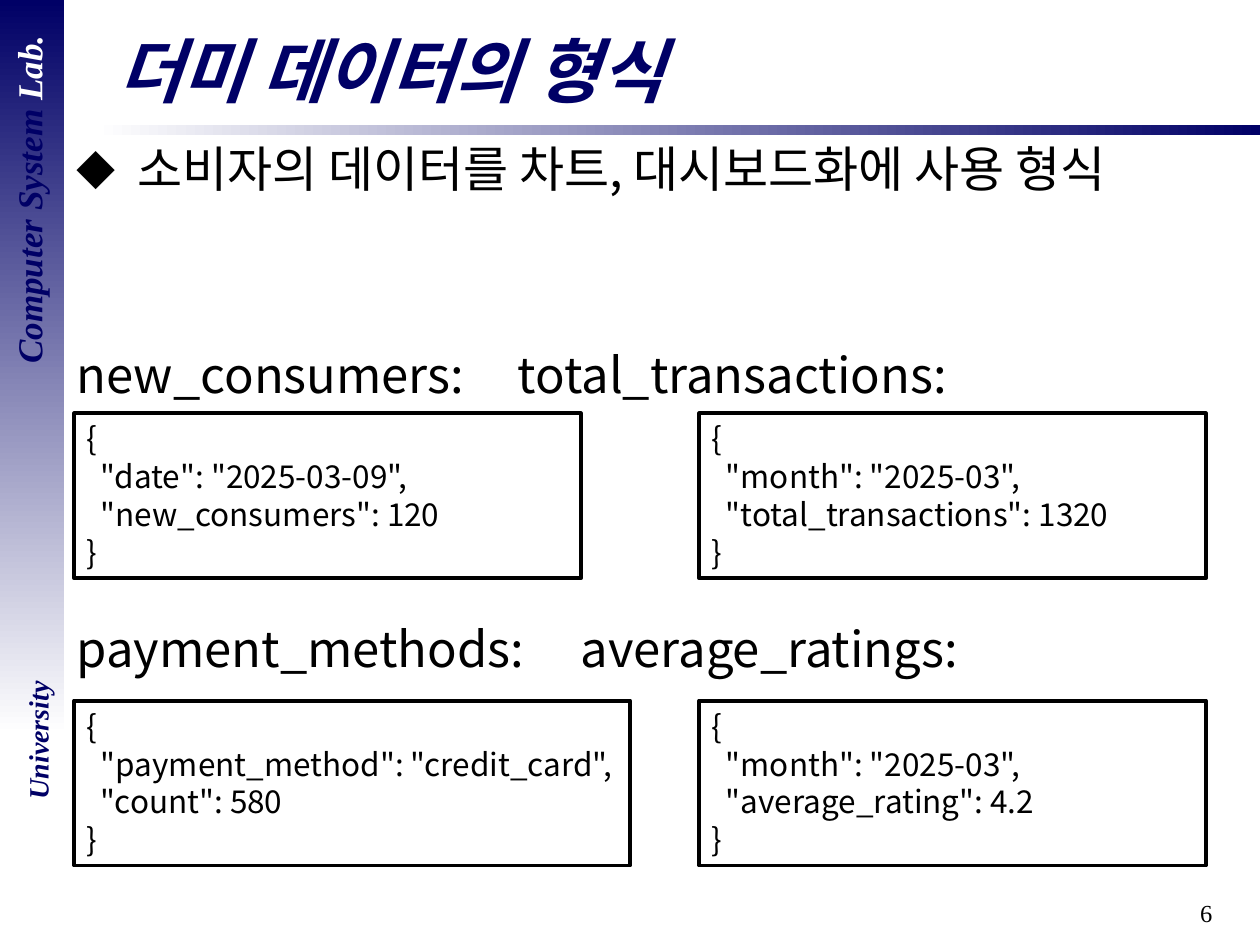
from lxml.etree import SubElement
from pptx import Presentation
from pptx.dml.color import RGBColor
from pptx.enum.shapes import MSO_SHAPE
from pptx.enum.text import MSO_ANCHOR, MSO_AUTO_SIZE, PP_ALIGN
from pptx.oxml.ns import qn
from pptx.util import Inches, Pt

NAVY = RGBColor(0x00, 0x00, 0x66)
BLACK = RGBColor(0x00, 0x00, 0x00)
WHITE = RGBColor(0xFF, 0xFF, 0xFF)
SANS = "Noto Sans CJK KR"
SERIF = "Times New Roman"

LEFT_COLUMN, RIGHT_COLUMN = 0.59, 5.55
TOP_ROW, BOTTOM_ROW = 3.28, 5.56
SAMPLES = [
    (LEFT_COLUMN, TOP_ROW, 4.02, ['"date": "2025-03-09",', '"new_consumers": 120']),
    (LEFT_COLUMN, BOTTOM_ROW, 4.41, ['"payment_method": "credit_card",', '"count": 580']),
    (RIGHT_COLUMN, TOP_ROW, 4.02, ['"month": "2025-03",', '"total_transactions": 1320']),
    (RIGHT_COLUMN, BOTTOM_ROW, 4.02, ['"month": "2025-03",', '"average_rating": 4.2']),
]
BODY = [
    ("소비자의 데이터를 차트, 대시보드화에 사용 형식", 0),
    ("new_consumers:\ttotal_transactions:", 84),
    ("payment_methods:\taverage_ratings:", 123.2),
]


class SlideBuilder:
    def __init__(self, slide):
        self.slide = slide

    def style(self, paragraph, size, name=SANS, color=BLACK, bold=False, align=PP_ALIGN.LEFT):
        paragraph.alignment = align
        font = paragraph.font
        font.size, font.name = Pt(size), name
        font.bold = font.italic = bold
        font.color.rgb = color
        defaults = paragraph._p.get_or_add_pPr().find(qn("a:defRPr"))
        SubElement(defaults, qn("a:ea"), typeface=name)

    def place(self, shape, left, top, width, height):
        shape.left, shape.top = Inches(left), Inches(top)
        shape.width, shape.height = Inches(width), Inches(height)

    def rectangle(self, left, top, width, height):
        shape = self.slide.shapes.add_shape(
            MSO_SHAPE.RECTANGLE, Inches(left), Inches(top), Inches(width), Inches(height))
        shape.shadow.inherit = False
        return shape

    def gradient_bar(self, left, top, width, height, colors, angle):
        shape = self.rectangle(left, top, width, height)
        shape.line.fill.background()
        shape.fill.gradient()
        shape.fill.gradient_angle = angle
        for stop, color in zip(shape.fill.gradient_stops, colors):
            stop.color.rgb = color

    def label(self, left, top, width, height, text, size, align, rotation=0, **style):
        box = self.slide.shapes.add_textbox(
            Inches(left), Inches(top), Inches(width), Inches(height))
        box.rotation = rotation
        box.text_frame.word_wrap = True
        paragraph = box.text_frame.paragraphs[0]
        paragraph.text = text
        self.style(paragraph, size, SERIF, align=align, **style)
        return paragraph

    def title(self, text):
        shape = self.slide.shapes.title
        self.place(shape, 0.83, 0.17, 8.9, 0.77)
        frame = shape.text_frame
        frame.text = text
        frame.auto_size = MSO_AUTO_SIZE.NONE
        frame.vertical_anchor = MSO_ANCHOR.MIDDLE
        self.style(frame.paragraphs[0], 40, color=NAVY, bold=True)

    def body(self, items):
        shape = self.slide.placeholders[1]
        self.place(shape, 0.51, 1.05, 9.61, 6.3)
        frame = shape.text_frame
        frame.text = "\n".join(text for text, space in items)
        frame.auto_size = MSO_AUTO_SIZE.NONE
        for index, (text, space) in enumerate(items):
            paragraph = frame.paragraphs[index]
            properties = paragraph._p.get_or_add_pPr()
            indent = Inches(0) if index else Inches(0.48)
            properties.set("marL", str(indent))
            properties.set("indent", str(-indent))
            if index:
                SubElement(properties, qn("a:buNone"))
                tabs = SubElement(properties, qn("a:tabLst"))
                SubElement(tabs, qn("a:tab"), pos=str(Inches(5)), algn="l")
            else:
                SubElement(properties, qn("a:buSzPct"), val="80000")
                SubElement(properties, qn("a:buFont"), typeface=SANS)
                SubElement(properties, qn("a:buChar"), char="◆")
            paragraph.space_before = Pt(space)
            self.style(paragraph, 28)

    def code_box(self, left, top, width, fields):
        shape = self.rectangle(left, top, width, 1.31)
        shape.fill.background()
        shape.line.color.rgb = BLACK
        shape.line.width = Pt(2.25)
        frame = shape.text_frame
        frame.word_wrap = True
        frame.auto_size = MSO_AUTO_SIZE.SHAPE_TO_FIT_TEXT
        frame.vertical_anchor = MSO_ANCHOR.TOP
        frame.text = "\n".join(["{", *("  " + field for field in fields), "}"])
        for paragraph in frame.paragraphs:
            self.style(paragraph, 18)


def main():
    presentation = Presentation()
    presentation.slide_width, presentation.slide_height = Inches(10), Inches(7.5)
    builder = SlideBuilder(presentation.slides.add_slide(presentation.slide_layouts[1]))
    builder.gradient_bar(0.75, 0.99, 9.25, 0.08, (WHITE, NAVY), 0)
    builder.gradient_bar(0, 0, 0.51, 5.83, (NAVY, WHITE), 270)
    builder.label(7.64, 7.08, 2.08, 0.42, "6", 14, PP_ALIGN.RIGHT)
    laboratory = builder.label(-1.31, 1.37, 3.07, 0.43, "Computer System ", 20,
                               PP_ALIGN.CENTER, 270, color=NAVY, bold=True)
    run = laboratory.add_run()
    run.text = "Lab."
    run.font.color.rgb = WHITE
    builder.label(-0.41, 5.69, 1.42, 0.37, "University", 16,
                  PP_ALIGN.CENTER, 270, color=NAVY, bold=True)
    builder.title("더미 데이터의 형식")
    builder.body(BODY)
    for sample in SAMPLES:
        builder.code_box(*sample)
    presentation.save("out.pptx")


if __name__ == "__main__":
    main()
